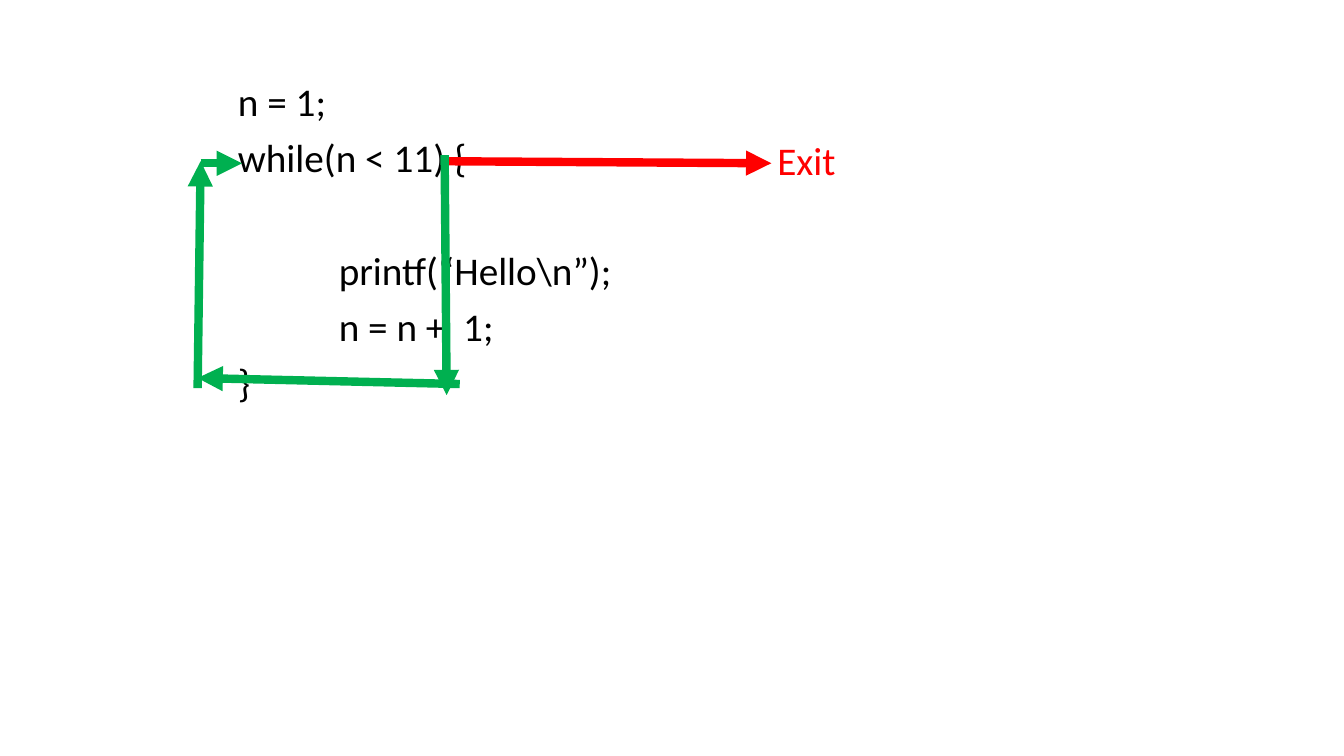
from pptx import Presentation
from pptx.dml.color import RGBColor
from pptx.enum.shapes import MSO_CONNECTOR as Connector
from pptx.enum.text import MSO_ANCHOR as Anchor, MSO_AUTO_SIZE as AutoSize
from pptx.oxml.ns import qn
from pptx.util import Inches, Pt
from lxml.etree import SubElement

BLACK = RGBColor(0x00, 0x00, 0x00)
RED = RGBColor(0xFF, 0x00, 0x00)
GREEN = RGBColor(0x00, 0xB0, 0x50)

# Body box: left, top, width, height
CODE_BOX = (0.26, 0.21, 13.07, 7.29)
# Exit label, relative to the body box
EXIT_BOX = (7.45, 1.14, 1.0, 0.48)
LINE_GAP, BLOCK_GAP = 10, 50

# Each line: indent, space before, text
CODE_LINES = [
    (2, 0, "n = 1;"),
    (2, LINE_GAP, "while(n < 11) {"),
    (3, BLOCK_GAP, "printf(“Hello\\n”);"),
    (3, LINE_GAP, "n = n +  1;"),
    (2, LINE_GAP, "}"),
]

# Arrows: start and end relative to the body box, colour
FLOW_ARROWS = [
    ((4.17, 1.39), (7.39, 1.41), RED),    # condition to exit
    ((4.15, 1.33), (4.17, 3.71), GREEN),  # condition to end of body
    ((4.30, 3.60), (1.70, 3.54), GREEN),  # end of body to the left
    ((1.70, 3.64), (1.73, 1.39), GREEN),  # back up
    ((1.73, 1.41), (2.14, 1.41), GREEN),  # into the condition
]


def set_values(target, values):
    for name, value in values.items():
        setattr(target, name, value)


def add_span(para, text, color):
    span = para.add_run()
    span.text = text
    set_values(span.font, dict(name="Calibri", size=Pt(28)))
    span.font.color.rgb = color


def add_code(body, box):
    left, top, width, height = map(Inches, box)
    set_values(body, dict(left=left, top=top, width=width, height=height))
    frame = body.text_frame
    set_values(frame, dict(word_wrap=True, auto_size=AutoSize.NONE,
                           vertical_anchor=Anchor.TOP,
                           margin_left=Inches(0.1), margin_top=Inches(0.61)))
    for number, (indent, gap, text) in enumerate(CODE_LINES):
        para = frame.add_paragraph() if number else frame.paragraphs[0]
        set_values(para, dict(line_spacing=0.9, space_before=Pt(gap)))
        # Indented without a bullet
        props = para._p.get_or_add_pPr()
        props.set("marL", str(Inches(indent)))
        props.set("indent", "0")
        SubElement(props, qn("a:buNone"))
        add_span(para, text, BLACK)


def add_exit(page, box):
    left, top, width, height = EXIT_BOX
    label = page.shapes.add_textbox(Inches(box[0] + left),
                                    Inches(box[1] + top),
                                    Inches(width), Inches(height))
    frame = label.text_frame
    set_values(frame, dict(word_wrap=True, vertical_anchor=Anchor.TOP,
                           margin_left=0, margin_top=0,
                           margin_right=0, margin_bottom=0))
    add_span(frame.paragraphs[0], "Exit", RED)


def add_flow(page, box):
    left, top = box[:2]
    for (x1, y1), (x2, y2), color in FLOW_ARROWS:
        arrow = page.shapes.add_connector(
            Connector.STRAIGHT, Inches(left + x1), Inches(top + y1),
            Inches(left + x2), Inches(top + y2))
        arrow.line.width = Pt(6)
        arrow.line.color.rgb = color
        SubElement(arrow.line._get_or_add_ln(), qn("a:tailEnd"),
                   type="triangle")
        SubElement(arrow._element.spPr, qn("a:effectLst"))


def add_loop_slide(deck):
    page = deck.slides.add_slide(deck.slide_layouts[1])
    title = page.shapes.title._element
    title.getparent().remove(title)
    add_code(page.placeholders[1], CODE_BOX)
    add_exit(page, CODE_BOX)
    add_flow(page, CODE_BOX)


deck = Presentation()
set_values(deck, dict(slide_width=Inches(13.33), slide_height=Inches(7.5)))
add_loop_slide(deck)
deck.save("out.pptx")
